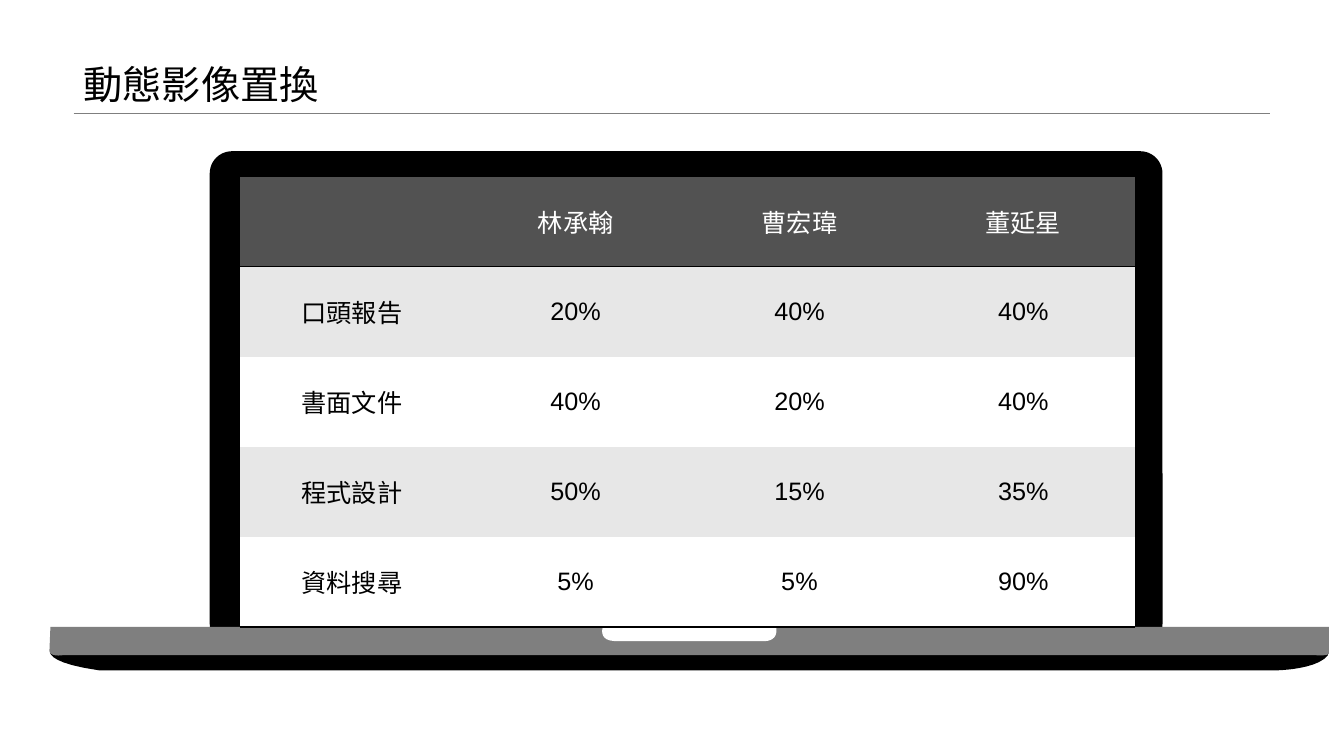
from lxml import etree
from pptx import Presentation
from pptx.dml.color import RGBColor
from pptx.enum.shapes import MSO_CONNECTOR, MSO_SHAPE
from pptx.enum.text import MSO_ANCHOR, PP_ALIGN
from pptx.oxml import parse_xml
from pptx.oxml.ns import nsdecls, qn
from pptx.util import Inches, Pt

STRAIGHT = MSO_CONNECTOR.STRAIGHT
ROUND = MSO_SHAPE.ROUNDED_RECTANGLE
MIDDLE = MSO_ANCHOR.MIDDLE
BOTTOM = MSO_ANCHOR.BOTTOM
LEFT = PP_ALIGN.LEFT
CENTER = PP_ALIGN.CENTER
PLAIN = "{2D5ABB26-0587-4C30-8999-92F81FD0307C}"
BLACK, GRAY, WHITE = "000000", "7F7F7F", "FFFFFF"
DARK, PALE = "525252", "E7E7E7"
STEPS = 10


def paint(form, color):
    form.fill.solid()
    form.fill.fore_color.rgb = RGBColor.from_string(color)


def style(para, size, color, align):
    para.alignment = align
    for run in para.runs:
        run.font.name = "Arial"
        run.font.size = Pt(size)
        run.font.color.rgb = RGBColor.from_string(color)


deck = Presentation()
deck.slide_width, deck.slide_height = Inches(13.33), Inches(7.5)
slide = deck.slides.add_slide(deck.slide_layouts[5])

rule = slide.shapes.add_connector(
    STRAIGHT, Inches(0.73), Inches(1.12), Inches(12.6), Inches(1.12))
rule.line.color.rgb = RGBColor.from_string(GRAY)
rule.line.width = Pt(0.25)
etree.SubElement(rule._element.spPr, qn("a:effectLst"))

title = slide.shapes.title
title.left, title.top = Inches(0.73), Inches(0)
title.width, title.height = Inches(11.87), Inches(1.12)
title.text_frame.text = "動態影像置換"
title.text_frame.vertical_anchor = BOTTOM
head = title.text_frame.paragraphs[0]
head.line_spacing = 0.9
style(head, 28, BLACK, LEFT)

laptop = slide.shapes.add_group_shape()
lid = laptop.shapes.add_shape(
    ROUND, Inches(2.08), Inches(1.5), Inches(9.45), Inches(4.91))
lid.adjustments[0] = 0.045
lid.shadow.inherit = False
lid.line.fill.background()
paint(lid, BLACK)

parts = [
    (BLACK, [(0.5, 6.45), (0.5, 6.45, 0.42, 6.57, 0.98, 6.65), (12.68, 6.65),
             (12.68, 6.65, 13.07, 6.64, 13.17, 6.5), (13.18, 6.42)]),
    (GRAY, [(0.5, 6.22), (0.49, 6.46), (0.5, 6.52, 0.62, 6.5, 0.62, 6.5),
            (13.04, 6.5), (13.19, 6.51, 13.18, 6.48, 13.18, 6.48),
            (13.18, 6.22)]),
    (WHITE, [(6.09, 6.36), (7.56, 6.36), (7.56, 6.36, 7.72, 6.38, 7.7, 6.23),
             (5.98, 6.22), (5.98, 6.22, 5.93, 6.35, 6.09, 6.36)]),
]
for color, nodes in parts:
    dots = [nodes[0]]
    for node in nodes[1:]:
        if len(node) == 2:
            dots.append(node)
            continue
        ends = [dots[-1], node[:2], node[2:4], node[4:]]
        for step in range(1, STEPS + 1):
            t = step / STEPS
            shares = ((1 - t) ** 3, 3 * t * (1 - t) ** 2,
                      3 * t * t * (1 - t), t ** 3)
            dots.append(tuple(sum(w * end[axis] for w, end in zip(shares, ends))
                              for axis in (0, 1)))
    spots = [(Inches(x), Inches(y)) for x, y in dots]
    pen = laptop.shapes.build_freeform(*spots[0])
    pen.add_line_segments(spots[1:], close=True)
    form = pen.convert_to_shape()
    form.shadow.inherit = False
    form.line.fill.background()
    paint(form, color)

rows = [
    ("", "林承翰", "曹宏瑋", "董延星"),
    ("口頭報告", "20%", "40%", "40%"),
    ("書面文件", "40%", "20%", "40%"),
    ("程式設計", "50%", "15%", "35%"),
    ("資料搜尋", "5%", "5%", "90%"),
]
edges = {0: ("lnT", "lnB"), 4: ("lnB",)}
frame = slide.shapes.add_table(
    5, 4, Inches(2.38), Inches(1.75), Inches(8.88), Inches(4.47))
table = frame.table
table.first_row = table.horz_banding = False
table._tbl.tblPr.find(qn("a:tableStyleId")).text = PLAIN
for r, row in enumerate(rows):
    for c, word in enumerate(row):
        cell = table.cell(r, c)
        cell.vertical_anchor = MIDDLE
        cell.text_frame.text = word
        style(cell.text_frame.paragraphs[0], 18, BLACK if r else WHITE, CENTER)
        paint(cell, DARK if r == 0 else PALE if r % 2 else WHITE)
        for spot, edge in enumerate(edges.get(r, ())):
            cell._tc.tcPr.insert(spot, parse_xml(
                f'<a:{edge} {nsdecls("a")} w="{Pt(1.5)}"><a:solidFill>'
                f'<a:srgbClr val="{BLACK}"/></a:solidFill></a:{edge}>'))

deck.save("out.pptx")
